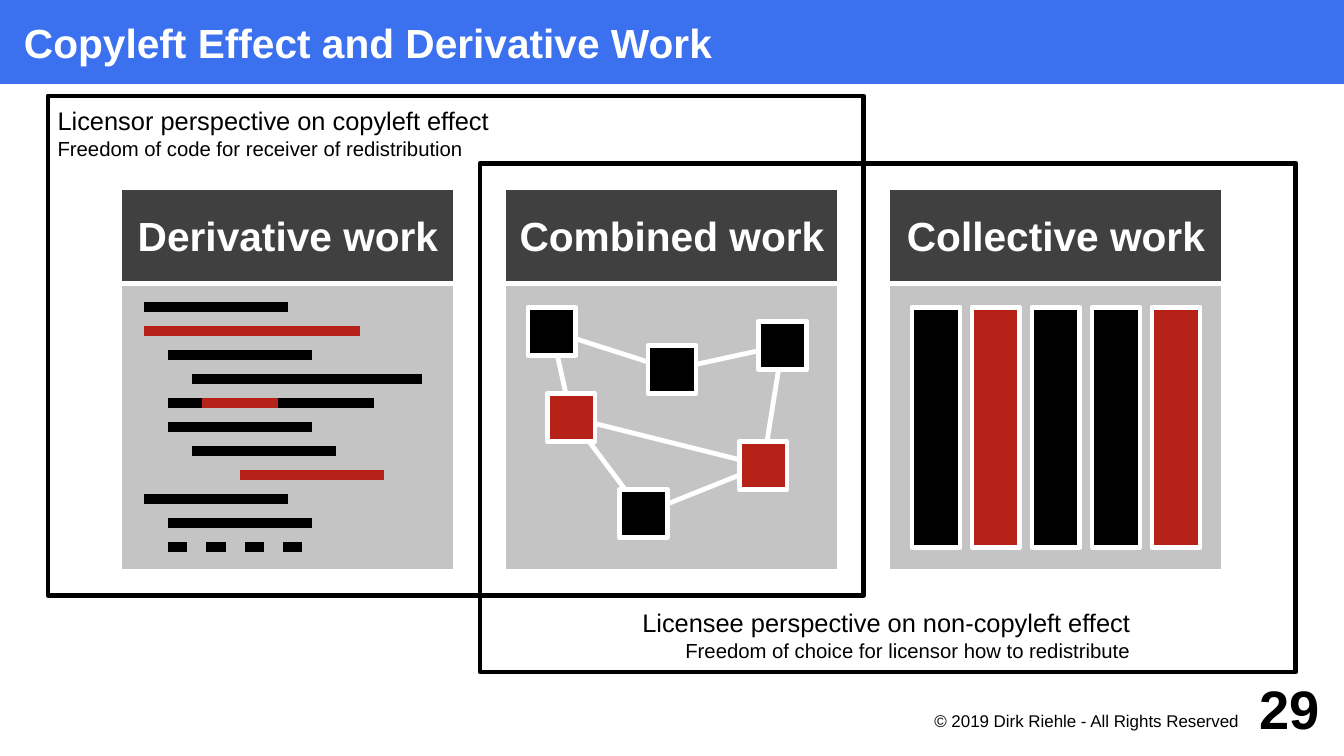
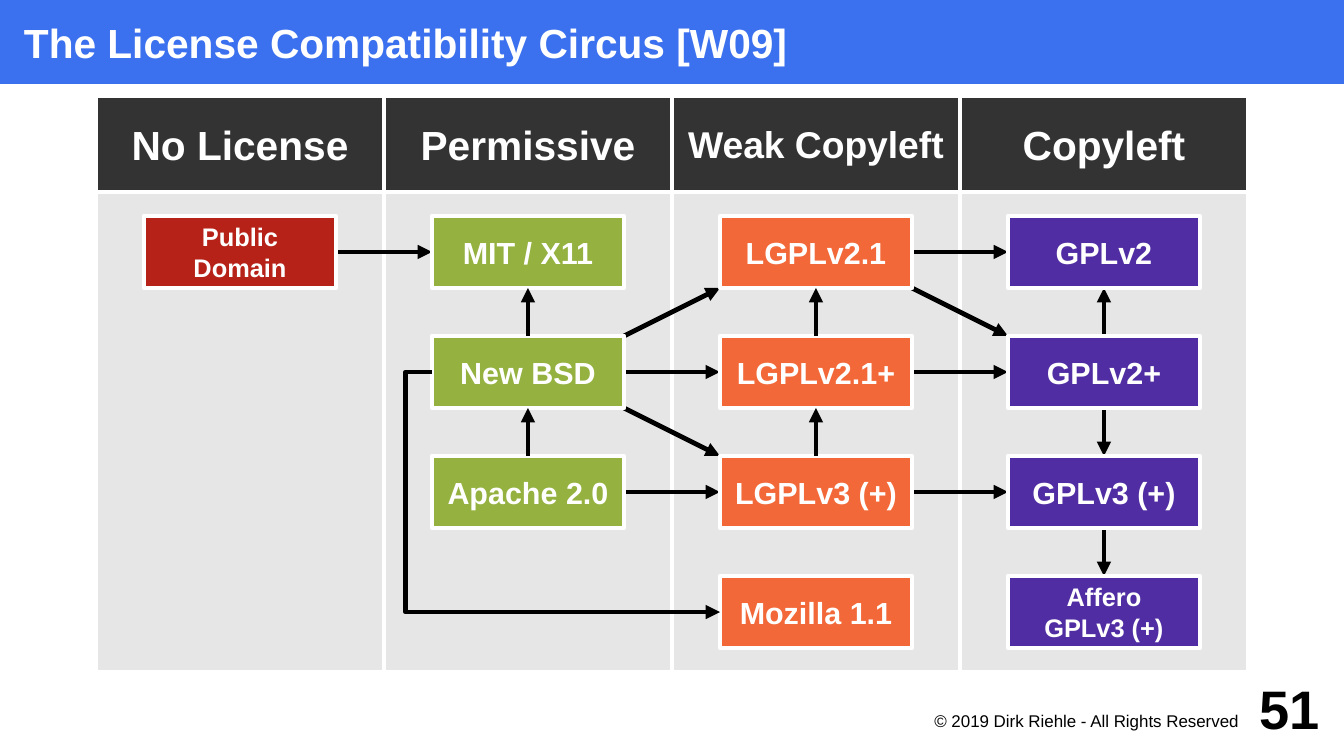
from pptx import Presentation
from pptx.dml.color import RGBColor
from pptx.enum import shapes, text
from pptx.oxml import ns
from pptx.util import Pt
from lxml import etree

GRID = 14.17  # all positions are counted in grid steps of this many points
STROKE = 2.83
INSET = 5.67
BLUE, RED, GREEN, ORANGE, PURPLE = "3B70EE", "B62118", "95B241", "F36838", "502DA2"
BLACK, WHITE = "000000", "FFFFFF"
LEFT, CENTER, RIGHT = text.PP_ALIGN.LEFT, text.PP_ALIGN.CENTER, text.PP_ALIGN.RIGHT
TOP, MIDDLE, BOTTOM = text.MSO_ANCHOR.TOP, text.MSO_ANCHOR.MIDDLE, text.MSO_ANCHOR.BOTTOM


def add_box(slide, place, fill=None, line=None, words="", size=18, color=WHITE, bold=True,
            align=CENTER, anchor=MIDDLE, insets=(INSET,) * 4):
    """Place is left, top, width, height in grid steps; insets run left, top, right, bottom."""
    lengths = [Pt(GRID * step) for step in place]
    if fill or line:
        shape = slide.shapes.add_shape(shapes.MSO_SHAPE.RECTANGLE, *lengths)
        shape.shadow.inherit = False
        if fill:
            shape.fill.solid()
            shape.fill.fore_color.rgb = RGBColor.from_string(fill)
        else:
            shape.fill.background()
        if line:
            shape.line.color.rgb = RGBColor.from_string(line)
            shape.line.width = Pt(STROKE)
        else:
            shape.line.fill.background()
    else:
        shape = slide.shapes.add_textbox(*lengths)
    if words:
        frame = shape.text_frame
        frame.text = words
        frame.word_wrap = True
        frame.vertical_anchor = anchor
        frame.margin_left, frame.margin_top, frame.margin_right, frame.margin_bottom = map(Pt, insets)
        for paragraph in frame.paragraphs:
            paragraph.alignment = align
            for run in paragraph.runs:
                run.font.name = "Arial"
                run.font.size = Pt(size)
                run.font.bold = bold
                run.font.color.rgb = RGBColor.from_string(color)
    return shape


def add_line(slide, start=(0, 0), end=(0, 0), color=BLACK, width=STROKE, arrow=False, dashed=False,
             kind=shapes.MSO_CONNECTOR.STRAIGHT):
    connector = slide.shapes.add_connector(kind, *[Pt(GRID * step) for step in (*start, *end)])
    connector.line.color.rgb = RGBColor.from_string(color)
    connector.line.width = Pt(width)
    properties = connector.element.spPr
    outline = properties.find(ns.qn("a:ln"))
    if dashed:
        dashes = etree.SubElement(outline, ns.qn("a:custDash"))
        etree.SubElement(dashes, ns.qn("a:ds"), d="200000", sp="200000")
    if arrow:
        etree.SubElement(outline, ns.qn("a:tailEnd"), type="triangle")
    etree.SubElement(properties, ns.qn("a:effectLst"))
    return connector


presentation = Presentation()
presentation.slide_width = Pt(GRID * 56)
presentation.slide_height = Pt(GRID * 31.5)

# Shared frame: title band, copyright line, page number
slides = []
for title, number in [("Copyleft Effect and Derivative Work", "29"),
                      ("The License Compatibility Circus [W09]", "51")]:
    slide = presentation.slides.add_slide(presentation.slide_layouts[6])
    add_box(slide, (0, 0, 56, 3.5), BLUE, words=title, size=24, align=LEFT, insets=(GRID, 0, 0, 0))
    add_box(slide, (36, 29.5, 16, 1.5), words="© 2019 Dirk Riehle - All Rights Reserved", size=10,
            color=BLACK, bold=False, align=RIGHT, anchor=TOP, insets=(0, 1.4, INSET, 0))
    add_box(slide, (51, 28, 4, 3), words=number, size=32, color=BLACK, align=RIGHT, insets=(0,) * 4)
    slides.append(slide)
works_slide, license_slide = slides

# Slide 1: three kinds of work
for column, name in enumerate(["Derivative work", "Combined work", "Collective work"]):
    left = 5 + 16 * column
    add_box(works_slide, (left, 7.8, 14, 4), "404040", WHITE, name, 24)
    add_box(works_slide, (left, 11.8, 14, 12), "C4C4C4", WHITE)

# Derivative work: lines of code as row, start, end, colour
code_lines = [
    (0, 6, 12, BLACK), (1, 6, 15, RED), (2, 7, 13, BLACK), (3, 8, 17.6, BLACK),
    (4, 7, 15.6, BLACK), (4, 8.4, 11.6, RED), (5, 7, 13, BLACK), (6, 8, 14, BLACK),
    (7, 10, 16, RED), (8, 6, 12, BLACK), (9, 7, 13, BLACK), (10, 7, 13, BLACK),
]
for row, start, end, color in code_lines:
    add_line(works_slide, (start, 12.8 + row), (end, 12.8 + row), color, 2 * STROKE, dashed=row == 10)

# Combined work: network of components, by centre
nodes = [(23, 13.8, BLACK), (28, 15.4, BLACK), (32.6, 14.4, BLACK),
         (23.8, 17.4, RED), (31.8, 19.4, RED), (26.8, 21.4, BLACK)]
for first, second in [(0, 1), (3, 5), (3, 4), (0, 3), (2, 1), (2, 4), (5, 4)]:
    add_line(works_slide, nodes[first][:2], nodes[second][:2], WHITE)
for x, y, color in nodes:
    add_box(works_slide, (x - 1, y - 1, 2, 2), color, WHITE)

# Collective work: separate bars
for index, color in enumerate([BLACK, RED, BLACK, BLACK, RED]):
    add_box(works_slide, (38 + 2.5 * index, 12.8, 2, 10), color, WHITE)

# Perspective frames
perspectives = [
    ((2, 4, 34, 20.8), LEFT, TOP, INSET,
     "Licensor perspective on copyleft effect\nFreedom of code for receiver of redistribution"),
    ((20, 6.8, 34, 21.2), RIGHT, BOTTOM, 97.7,
     "Licensee perspective on non-copyleft effect\nFreedom of choice for licensor how to redistribute"),
]
for place, align, anchor, right_inset, words in perspectives:
    perspective = add_box(works_slide, place, None, BLACK, words, 15, BLACK, False, align, anchor,
                          (INSET, INSET, right_inset, INSET))
    perspective.text_frame.paragraphs[1].runs[0].font.size = Pt(12)

# Slide 2: columns of licenses, None leaves a row free
columns = [
    ("No License", 24, RED, ["Public\nDomain"]),
    ("Permissive", 24, GREEN, ["MIT / X11", "New BSD", "Apache 2.0"]),
    ("Weak Copyleft", 22, ORANGE, ["LGPLv2.1", "LGPLv2.1+", "LGPLv3 (+)", "Mozilla 1.1"]),
    ("Copyleft", 24, PURPLE, ["GPLv2", "GPLv2+", "GPLv3 (+)", "Affero\nGPLv3 (+)"]),
]
boxes = {}
for column, (heading, size, color, names) in enumerate(columns):
    left = 4 + 12 * column
    add_box(license_slide, (left, 8, 12, 20), "E6E6E6", WHITE)
    add_box(license_slide, (left, 4, 12, 4), "333333", WHITE, heading, size)
    for row, name in enumerate(names):
        boxes[column, row] = add_box(license_slide, (left + 2, 9 + 5 * row, 8, 3), color, WHITE,
                                     name, 15 if "\n" in name else 18)

# Diagonal arrows from corner to corner
for start, end in [((26, 17), (30, 19)), ((26, 14), (30, 12)), ((38, 12), (42, 14))]:
    add_line(license_slide, start, end, arrow=True)

# Joined arrows as source, side, target, side; boxes are (column, row)
arrows_below = [((column, row), 3, (column + 1, row), 1)
                for column, row in [(0, 0), (1, 1), (1, 2), (2, 0), (2, 1), (2, 2)]]
arrows_below += [((3, 1), 2, (3, 2), 0), ((3, 1), 0, (3, 0), 2), ((3, 2), 2, (3, 3), 0)]
arrows_above = [((column, row), 0, (column, row - 1), 2) for column in (1, 2) for row in (1, 2)]
for arrows in (arrows_below, arrows_above):
    for source, source_side, target, target_side in arrows:
        connector = add_line(license_slide, arrow=True)
        connector.begin_connect(boxes[source], source_side)
        connector.end_connect(boxes[target], target_side)
    if arrows is arrows_below:
        # Bring the license boxes in front of these arrows
        for box in boxes.values():
            box.element.getparent().append(box.element)

# Elbow arrow from New BSD around to Mozilla 1.1
elbow = add_line(license_slide, (18, 15.5), (30, 25.5), arrow=True, kind=shapes.MSO_CONNECTOR.ELBOW)
elbow.begin_connect(boxes[1, 1], 1)
elbow.end_connect(boxes[2, 3], 1)
geometry = elbow.element.spPr.find(ns.qn("a:prstGeom"))
adjustments = geometry.find(ns.qn("a:avLst"))
etree.SubElement(adjustments, ns.qn("a:gd"), name="adj1", fmla="val -9200")

presentation.save("out.pptx")
